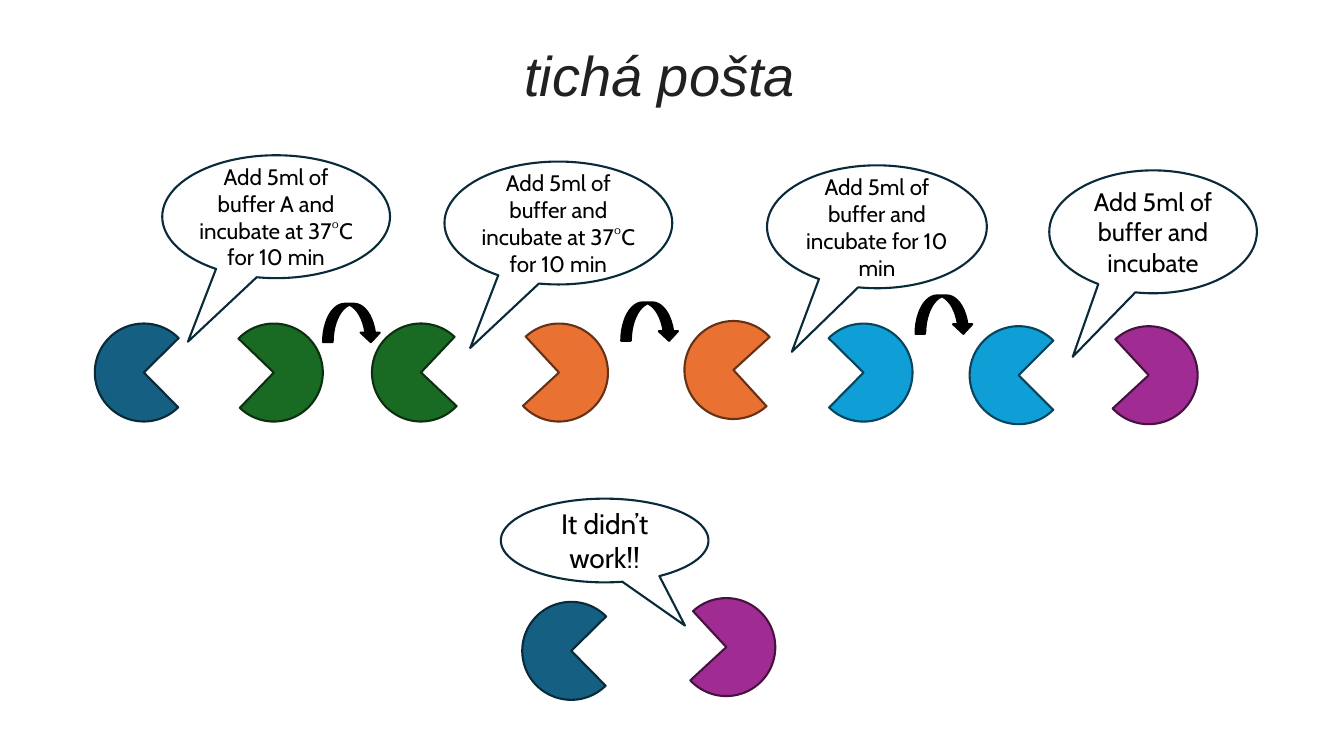
from pptx import Presentation
from pptx.dml.color import RGBColor
from pptx.enum.shapes import MSO_SHAPE
from pptx.enum.text import MSO_ANCHOR, MSO_AUTO_SIZE, PP_ALIGN
from pptx.util import Pt

PIE = MSO_SHAPE.PIE
CALLOUT = MSO_SHAPE.OVAL_CALLOUT
ARROW = MSO_SHAPE.CURVED_DOWN_ARROW
MIDDLE = MSO_ANCHOR.MIDDLE
TOP = MSO_ANCHOR.TOP
NO_AUTOFIT = MSO_AUTO_SIZE.NONE
CENTER = PP_ALIGN.CENTER
LEFT = PP_ALIGN.LEFT

WHITE = RGBColor(0xFF, 0xFF, 0xFF)
BLACK = RGBColor(0x00, 0x00, 0x00)
TITLE_GREY = RGBColor(0x20, 0x21, 0x22)
TEAL = RGBColor(0x15, 0x60, 0x82)
DARK_TEAL = RGBColor(0x09, 0x2A, 0x39)
GREEN = RGBColor(0x19, 0x6B, 0x24)
DARK_GREEN = RGBColor(0x0B, 0x2F, 0x10)
ORANGE = RGBColor(0xE9, 0x71, 0x32)
DARK_ORANGE = RGBColor(0x66, 0x32, 0x16)
BLUE = RGBColor(0x0F, 0x9E, 0xD5)
DARK_BLUE = RGBColor(0x07, 0x45, 0x5D)
PURPLE = RGBColor(0xA0, 0x2B, 0x93)
DARK_PURPLE = RGBColor(0x46, 0x13, 0x40)

OUTLINES = {
    TEAL: DARK_TEAL,
    GREEN: DARK_GREEN,
    ORANGE: DARK_ORANGE,
    BLUE: DARK_BLUE,
    PURPLE: DARK_PURPLE,
}
TALKER_SIZE = 70

presentation = Presentation()
presentation.slide_width = Pt(960)
presentation.slide_height = Pt(540)
slide = presentation.slides.add_slide(presentation.slide_layouts[5])


def add_filled_shape(kind, left, top, width, height, fill, outline):
    shape = slide.shapes.add_shape(kind, Pt(left), Pt(top), Pt(width), Pt(height))
    shape.shadow.inherit = False
    shape.fill.solid()
    shape.fill.fore_color.rgb = fill
    shape.line.color.rgb = outline
    shape.line.width = Pt(1.5)
    return shape


title = slide.shapes.title
title.left, title.top, title.width, title.height = Pt(374.4), Pt(25.2), Pt(280), Pt(55.4)
title_frame = title.text_frame
title_frame.text = "tichá pošta"
title_frame.auto_size = NO_AUTOFIT
title_frame.vertical_anchor = TOP
title_frame.margin_left = 0
paragraph = title_frame.paragraphs[0]
paragraph.alignment = LEFT
paragraph.font.name = "Arial"
paragraph.font.size = Pt(40)
paragraph.font.italic = True
paragraph.font.color.rgb = TITLE_GREY

talkers = [
    (67.7, 231.1, 45.4, TEAL),
    (160.6, 231.1, 223.9, GREEN),
    (265.7, 231.1, 43.3, GREEN),
    (364.3, 231.1, 227.2, ORANGE),
    (488.9, 229.3, 47.6, ORANGE),
    (581.8, 231.1, 224.6, BLUE),
    (692.6, 233, 45, BLUE),
    (785.5, 233, 227.2, PURPLE),
    (483.8, 427.2, 227.2, PURPLE),
    (373, 429.9, 45.4, TEAL),
]
for left, top, rotation, color in talkers:
    talker = add_filled_shape(PIE, left, top, TALKER_SIZE, TALKER_SIZE, color, OUTLINES[color])
    talker.rotation = rotation

callouts = [
    (115.9, 110.9, 162.7, 87.8, -0.387, 0, 16,
     "Add 5ml of buffer A and incubate at 37°C for 10 min"),
    (317.5, 115.4, 162.7, 87.8, -0.387, 0, 16,
     "Add 5ml of buffer and incubate at 37°C for 10 min"),
    (547.9, 118.1, 157, 87.8, -0.387, 0, 16,
     "Add 5ml of buffer and incubate for 10 min"),
    (749.5, 121.7, 148.3, 87.8, -0.387, 0, 18,
     "Add 5ml of buffer and incubate"),
    (357.8, 356.2, 148.3, 59.8, 0.387, 7.2, 20, "It didn’t work!!"),
]
for left, top, width, height, tail, margin, size, words in callouts:
    callout = add_filled_shape(CALLOUT, left, top, width, height, WHITE, DARK_TEAL)
    callout.adjustments[0] = tail
    callout.adjustments[1] = 1.017
    text_frame = callout.text_frame
    text_frame.text = words
    text_frame.word_wrap = True
    text_frame.vertical_anchor = MIDDLE
    text_frame.margin_left = text_frame.margin_right = Pt(margin)
    paragraph = text_frame.paragraphs[0]
    paragraph.alignment = CENTER
    paragraph.font.name = "Cabin"
    paragraph.font.size = Pt(size)
    paragraph.font.color.rgb = BLACK

for left, top in [(230.8, 217), (443.8, 216), (654, 211)]:
    add_filled_shape(ARROW, left, top, 41, 27.4, BLACK, BLACK)

presentation.save("out.pptx")
